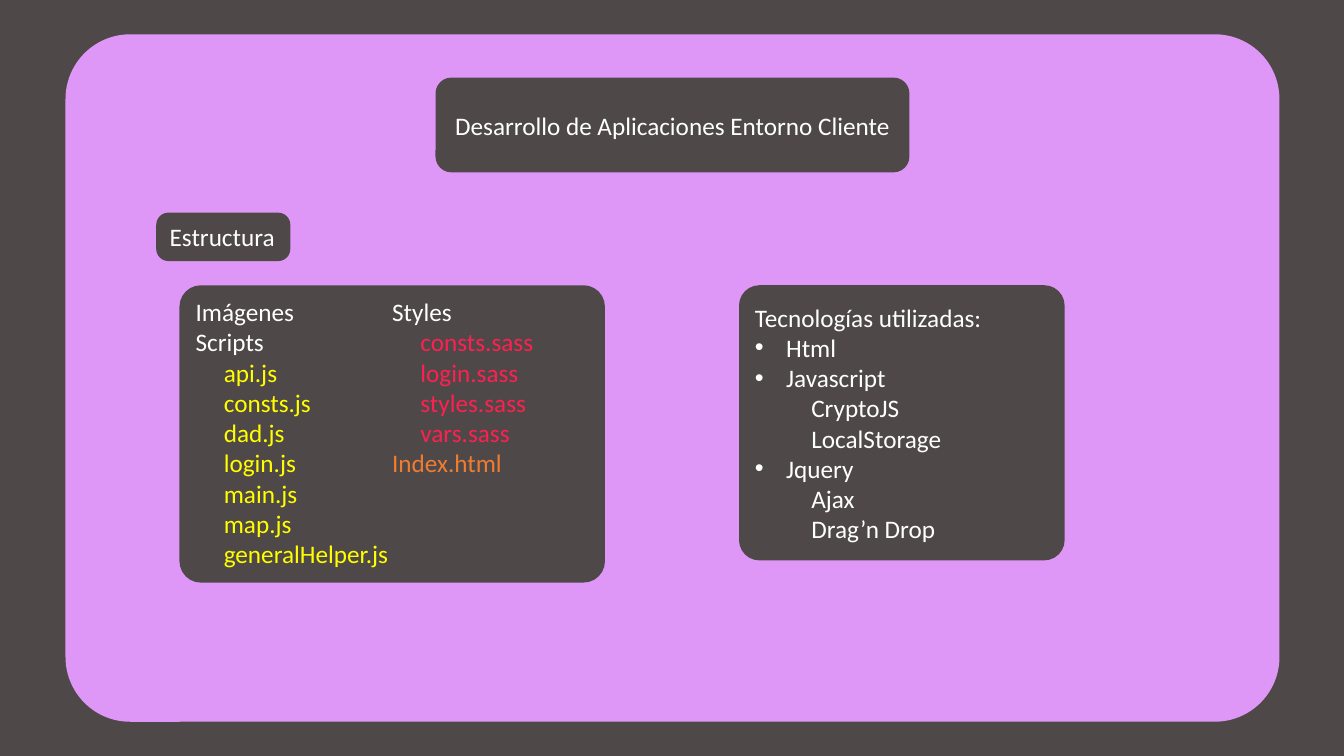
"""Build the slide on the client-side web development project."""
from dataclasses import dataclass

from lxml import etree
from pptx import Presentation
from pptx import util as u
from pptx.dml.color import RGBColor
from pptx.enum import shapes, text
from pptx.oxml.ns import qn

COLORS = {
    "dark": "4F4848",
    "panel": "DF97F7",
    "white": "FFFFFF",
    "script": "FFFF00",
    "style": "FE2050",
    "page": "ED7D31",
}
TOP, MIDDLE = text.MSO_ANCHOR.TOP, text.MSO_ANCHOR.MIDDLE
LEFT, CENTER = text.PP_ALIGN.LEFT, text.PP_ALIGN.CENTER
FILE_INDENT = 0.28
BULLET_INDENT = 0.31
SUB_INDENT = 0.56


@dataclass(frozen=True)
class Line:
    text: str
    color: str = "white"
    indent: float = 0
    bullet: bool = False


@dataclass(frozen=True)
class Box:
    left: float
    top: float
    width: float
    height: float
    radius: float
    lines: tuple[Line, ...] = ()
    fill: str = "dark"
    anchor: text.MSO_ANCHOR = TOP
    align: text.PP_ALIGN = LEFT
    columns: int = 1


def files(names: str, color: str) -> tuple[Line, ...]:
    return tuple(Line(name, color, FILE_INDENT) for name in names.split())


def bullet(label: str) -> Line:
    return Line(label, indent=BULLET_INDENT, bullet=True)


def sub(label: str) -> Line:
    return Line(label, indent=SUB_INDENT)


STRUCTURE = (
    Line("Imágenes"),
    Line("Scripts"),
    *files("api.js consts.js dad.js login.js main.js map.js generalHelper.js", "script"),
    Line("Styles"),
    *files("consts.sass login.sass styles.sass vars.sass", "style"),
    Line("Index.html", "page"),
)
TECHNOLOGIES = (
    Line("Tecnologías utilizadas:"),
    bullet("Html"),
    bullet("Javascript"),
    sub("CryptoJS"),
    sub("LocalStorage"),
    bullet("Jquery"),
    sub("Ajax"),
    sub("Drag’n Drop"),
)
BOXES = (
    Box(0.65, 0.34, 12.04, 6.82, 0.094, fill="panel"),
    Box(4.32, 0.77, 4.7, 0.94, 0.167, (Line("Desarrollo de Aplicaciones Entorno Cliente"),),
        anchor=MIDDLE, align=CENTER),
    Box(1.55, 2.11, 1.33, 0.48, 0.249, (Line("Estructura"),)),
    Box(1.78, 2.83, 4.22, 2.95, 0.072, STRUCTURE, columns=2),
    Box(7.33, 2.83, 3.23, 2.73, 0.074, TECHNOLOGIES, anchor=MIDDLE),
)


def rgb(name: str) -> RGBColor:
    return RGBColor.from_string(COLORS[name])


def write_line(p, line: Line, align: text.PP_ALIGN) -> None:
    p.text = line.text
    p.alignment = align
    p.font.name = "Calibri"
    p.font.size = u.Pt(18)
    p.font.color.rgb = rgb(line.color)
    pPr = p._p.get_or_add_pPr()
    if line.indent:
        pPr.set("marL", str(u.Inches(line.indent)))
    if line.bullet:
        pPr.set("indent", str(-u.Inches(line.indent)))
        font = etree.Element(qn("a:buFont"), typeface="Arial")
        mark = etree.Element(qn("a:buChar"), char="•")
        pPr.insert(0, font)
        pPr.insert(1, mark)


def draw_box(s, box: Box) -> None:
    place = map(u.Inches, (box.left, box.top, box.width, box.height))
    sp = s.shapes.add_shape(shapes.MSO_SHAPE.ROUNDED_RECTANGLE, *place)
    sp.adjustments[0] = box.radius
    sp.shadow.inherit = False
    sp.fill.solid()
    sp.fill.fore_color.rgb = rgb(box.fill)
    sp.line.fill.background()
    tf = sp.text_frame
    tf.word_wrap = True
    tf.vertical_anchor = box.anchor
    if box.columns > 1:
        tf._txBody.bodyPr.set("numCol", str(box.columns))
    for i, line in enumerate(box.lines):
        p = tf.add_paragraph() if i else tf.paragraphs[0]
        write_line(p, line, box.align)


def main() -> None:
    prs = Presentation()
    prs.slide_width, prs.slide_height = u.Inches(13.33), u.Inches(7.5)
    s = prs.slides.add_slide(prs.slide_layouts[6])
    s.background.fill.solid()
    s.background.fill.fore_color.rgb = rgb("dark")
    for box in BOXES:
        draw_box(s, box)
    prs.save("out.pptx")


if __name__ == "__main__":
    main()
